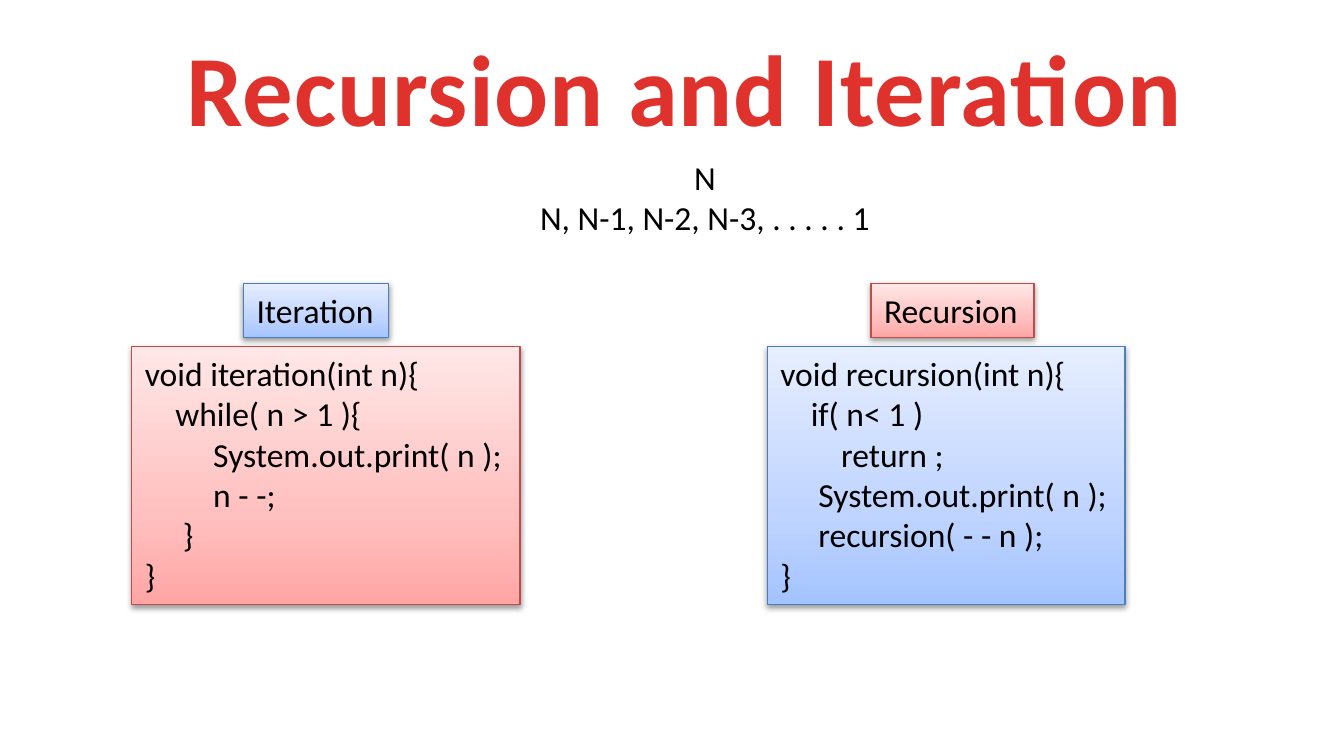
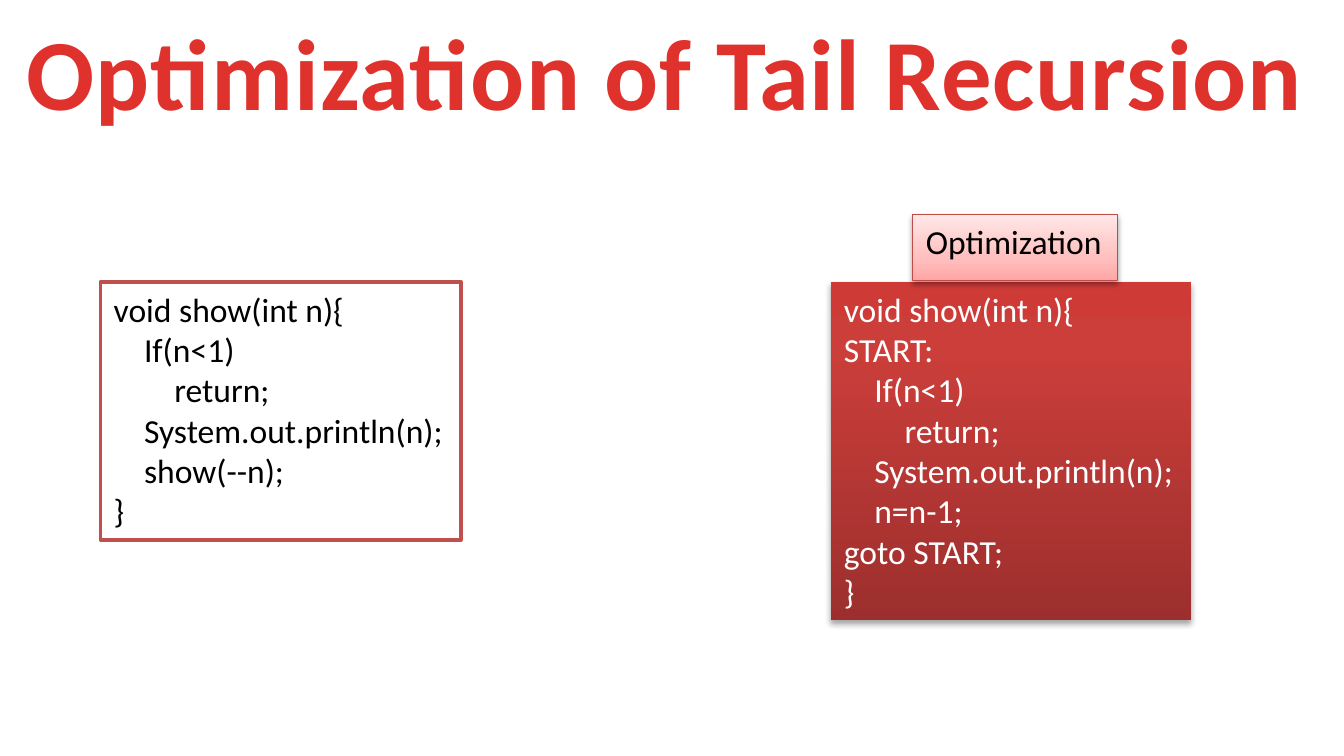
from copy import deepcopy
from dataclasses import dataclass

from lxml import etree
from pptx import Presentation
from pptx.dml.color import RGBColor
from pptx.enum.shapes import MSO_SHAPE
from pptx.enum.text import MSO_ANCHOR, MSO_AUTO_SIZE, PP_ALIGN
from pptx.oxml.ns import qn
from pptx.util import Cm, Pt

RECT = MSO_SHAPE.RECTANGLE
TOP = MSO_ANCHOR.TOP
NO_FIT = MSO_AUTO_SIZE.NONE
LEFT, CENTER = PP_ALIGN.LEFT, PP_ALIGN.CENTER


@dataclass(frozen=True)
class BoxStyle:
    """Fill stops, outline, shadow and text colour of a box."""
    stops: tuple
    line: str = ""
    width: float = 0.75
    shadow: tuple = ()
    ink: str = "000000"


@dataclass(frozen=True)
class Theme:
    """Colours, type sizes and measures that the slides share."""
    font: str = "Calibri"
    title_size: float = 54
    text_size: float = 18
    ink: str = "000000"
    title_stops: tuple = ((25, "E0322D"), (100, "A2201C"))
    indent: float = 0.1435
    line_height: float = 0.76
    padding: float = 0.32
    pink: BoxStyle = BoxStyle(
        ((0, "FFA6A5"), (35, "FFC0BF"), (100, "FFE7E7")), "BF4C48", shadow=(38, 1.6))
    blue: BoxStyle = BoxStyle(
        ((0, "A4C4FF"), (35, "BFD4FF"), (100, "E6EEFF")), "4B7EBC", shadow=(38, 1.6))
    plain: BoxStyle = BoxStyle(((0, "FFFFFF"),), "C0504D", 2)
    red: BoxStyle = BoxStyle(
        ((0, "9C2F2D"), (80, "CB3E3A"), (100, "CE3B37")), shadow=(35, 1.8), ink="FFFFFF")


THEME = Theme()

ITERATION = [
    (0, "void iteration(int n){"),
    (4, "while( n > 1 ){"),
    (9, "System.out.print( n );"),
    (9, "n - -;"),
    (5, "}"),
    (0, "}"),
]
RECURSION = [
    (0, "void recursion(int n){"),
    (4, "if( n< 1 )"),
    (8, "return ;"),
    (5, "System.out.print( n );"),
    (5, "recursion( - - n );"),
    (0, "}"),
]
TAIL_CALL = [
    (0, "void show(int n){"),
    (4, "If(n<1)"),
    (8, "return;"),
    (4, "System.out.println(n);"),
    (4, "show(--n);"),
    (0, "}"),
]
OPTIMIZED = [
    (0, "void show(int n){"),
    (0, "START:"),
    (4, "If(n<1)"),
    (8, "return;"),
    (4, "System.out.println(n);"),
    (4, "n=n-1;"),
    (0, "goto START;"),
    (0, "}"),
]


def paint(fill, owner, stops, angle):
    """Give a fill one colour, or a gradient through all the stops."""
    if len(stops) == 1:
        fill.solid()
        fill.fore_color.rgb = RGBColor.from_string(stops[0][1])
        return
    fill.gradient()
    fill.gradient_angle = angle
    last = list(owner.iter(qn("a:gs")))[-1]
    for _ in stops[2:]:
        last.addnext(deepcopy(last))
    for stop, (position, color) in zip(fill.gradient_stops, stops):
        stop.position = position / 100
        stop.color.rgb = RGBColor.from_string(color)


def add_shadow(sp, opacity, distance):
    """Add a soft black shadow below a shape."""
    effects = sp._element.spPr.find(qn("a:effectLst"))
    outer = etree.SubElement(effects, qn("a:outerShdw"), blurRad=str(Pt(3.1)),
                             dist=str(Pt(distance)), dir="5400000", rotWithShape="0")
    color = etree.SubElement(outer, qn("a:srgbClr"), val="000000")
    etree.SubElement(color, qn("a:alpha"), val=str(opacity * 1000))


def write(sp, lines, ink, align=LEFT):
    """Write lines of (indent steps, text) into a shape."""
    tf = sp.text_frame
    tf.word_wrap = True
    tf.auto_size = NO_FIT
    tf.vertical_anchor = TOP
    tf.text = "\n".join(text for _, text in lines)
    for p, (steps, _) in zip(tf.paragraphs, lines):
        p.alignment = align
        if steps:
            p._p.get_or_add_pPr().set("marL", str(Cm(steps * THEME.indent)))
        for r in p.runs:
            r.font.name = THEME.font
            r.font.size = Pt(THEME.text_size)
            r.font.color.rgb = RGBColor.from_string(ink)


def add_slide(prs, title, left, top, width):
    """Add a slide with its large red title."""
    slide = prs.slides.add_slide(prs.slide_layouts[5])
    sp = slide.shapes.title
    sp.left, sp.top, sp.width, sp.height = Cm(left), Cm(top), Cm(width), Cm(2.57)
    write(sp, [(0, title)], THEME.ink, CENTER)
    r = sp.text_frame.paragraphs[0].runs[0]
    r.font.size = Pt(THEME.title_size)
    r.font.bold = True
    paint(r.font.fill, r._r, THEME.title_stops, 270)
    r._r.get_or_add_rPr().set("spc", "50")
    return slide


def add_box(slide, lines, style, left, top, width, height):
    """Add a rectangle that holds text."""
    sp = slide.shapes.add_shape(RECT, Cm(left), Cm(top), Cm(width), Cm(height))
    sp.shadow.inherit = False
    paint(sp.fill, sp._element.spPr, style.stops, 90)
    if style.line:
        sp.line.color.rgb = RGBColor.from_string(style.line)
        sp.line.width = Pt(style.width)
    else:
        sp.line.fill.background()
    if style.shadow:
        add_shadow(sp, *style.shadow)
    write(sp, lines, style.ink)


def add_code(slide, lines, style, left, top, width):
    """Add a code box as tall as its lines."""
    height = len(lines) * THEME.line_height + THEME.padding
    add_box(slide, lines, style, left, top, width, height)


def add_label(slide, text, style, left, top, width, height=1.02):
    """Add a one-line heading box."""
    add_box(slide, [(0, text)], style, left, top, width, height)


def add_sequence(slide, texts, left, top, width, height):
    """Add centred lines without a box."""
    sp = slide.shapes.add_textbox(Cm(left), Cm(top), Cm(width), Cm(height))
    write(sp, [(0, text) for text in texts], THEME.ink, CENTER)


def build_comparison(prs):
    """Build the slide that compares iteration with recursion."""
    slide = add_slide(prs, "Recursion and Iteration", 3.18, 0.36, 19.53)
    add_sequence(slide, ["N", "N, N-1, N-2, N-3, . . . . . 1"], 9.91, 2.84, 6.83, 1.8)
    add_code(slide, ITERATION, THEME.pink, 2.49, 6.55, 7.34)
    add_code(slide, RECURSION, THEME.blue, 14.5, 6.55, 6.76)
    add_label(slide, "Iteration", THEME.blue, 4.6, 5.36, 2.75)
    add_label(slide, "Recursion", THEME.pink, 16.46, 5.36, 3.08)


def build_optimization(prs):
    """Build the slide on optimizing a tail call."""
    slide = add_slide(prs, "Optimization of Tail Recursion", 0.13, 0.05, 24.89)
    add_code(slide, TAIL_CALL, THEME.plain, 1.9, 5.33, 6.81)
    add_code(slide, OPTIMIZED, THEME.red, 15.7, 5.33, 6.81)
    add_label(slide, "Optimization", THEME.pink, 17.25, 4.06, 3.87, 1.24)


def main():
    """Build and save the presentation."""
    prs = Presentation()
    prs.slide_width, prs.slide_height = Cm(25.4), Cm(14.29)
    build_comparison(prs)
    build_optimization(prs)
    prs.save("out.pptx")


if __name__ == "__main__":
    main()
